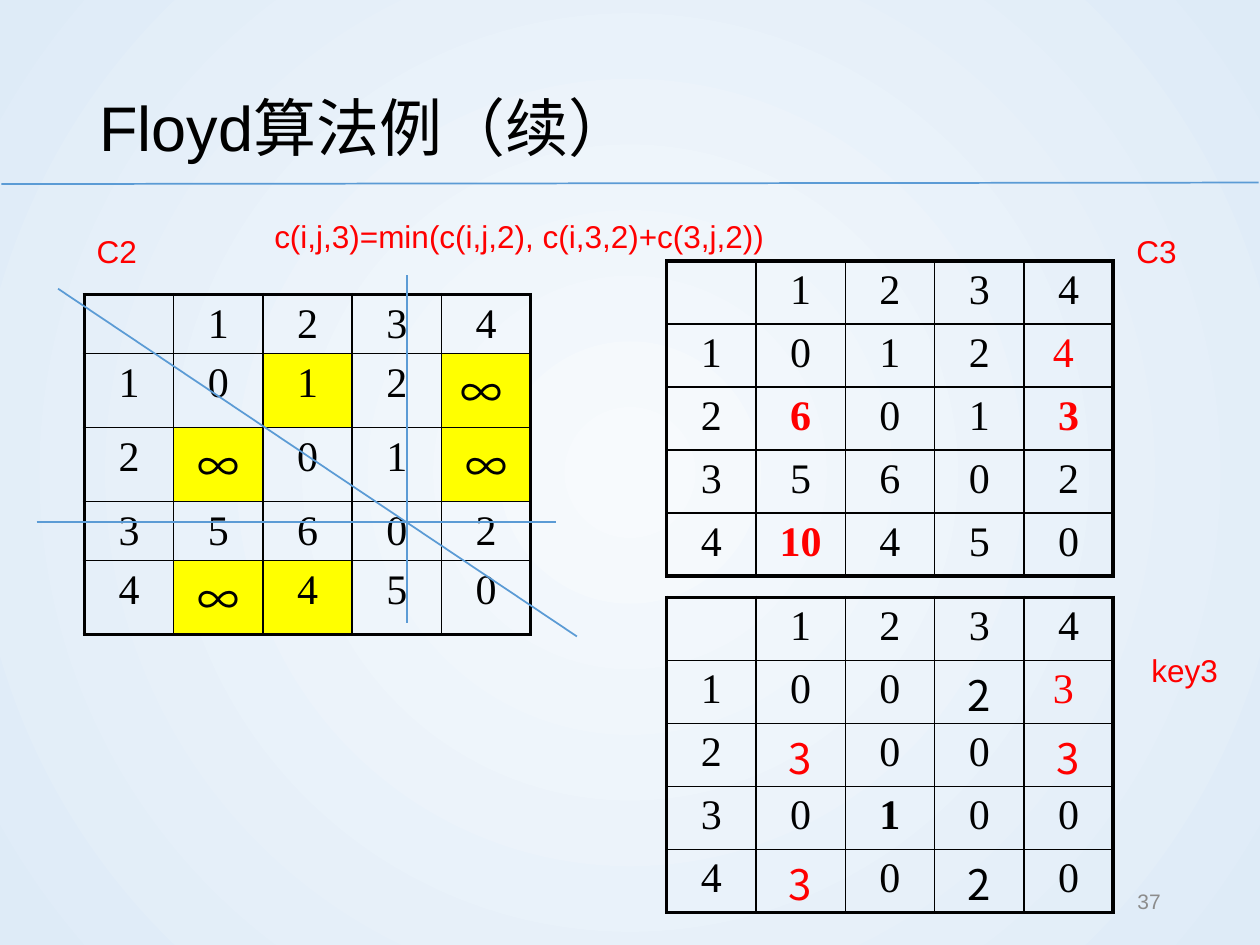
from dataclasses import dataclass

from lxml import etree
from pptx import Presentation
from pptx.dml.color import RGBColor
from pptx.enum.shapes import MSO_CONNECTOR
from pptx.enum.text import MSO_ANCHOR, PP_ALIGN
from pptx.oxml.ns import qn
from pptx.util import Cm, Pt

STRAIGHT = MSO_CONNECTOR.STRAIGHT
MIDDLE = MSO_ANCHOR.MIDDLE
LEFT, CENTER, RIGHT = PP_ALIGN.LEFT, PP_ALIGN.CENTER, PP_ALIGN.RIGHT


@dataclass(frozen=True)
class Theme:
    sans: str = "Arial"
    serif: str = "Times New Roman"
    cjk: str = "Noto Sans CJK SC"
    ink: str = "000000"
    red: str = "FF0000"
    yellow: str = "FFFF00"
    blue: str = "5B9BD5"
    gray: str = "8C8C8C"
    glow: str = "F7FAFD"
    edge: str = "DEEBF7"
    title: int = 36
    cell: int = 24
    label: int = 18
    number: int = 12
    thin: float = 1
    thick: float = 2.25


T = Theme()

TITLE = "Floyd算法例（续）"
TITLE_BOX = (1.75, 1.02, 21.9, 2.74)
COL_WIDTH = 1.8

# Cell sets hold (row, column) positions, headers included.
TABLES = [
    dict(at=(1.7, 5.94), heights=[1.19, 1.49, 1.49, 1.19, 1.49],
         rows=[["", "1", "2", "3", "4"],
               ["1", "0", "1", "2", "∞ "],
               ["2", "∞", "0", "1", "∞"],
               ["3", "5", "6", "0", "2"],
               ["4", "∞", "4", "5", "0"]],
         yellow={(1, 2), (1, 4), (2, 1), (2, 4), (4, 1), (4, 2)},
         cjk={(1, 4), (2, 1), (2, 4), (4, 1)}),
    dict(at=(13.44, 5.26), heights=[1.27] * 5,
         rows=[["", "1", "2", "3", "4"],
               ["1", "0", "1", "2", "4 "],
               ["2", "6", "0", "1", "3"],
               ["3", "5", "6", "0", "2"],
               ["4", "10", "4", "5", "0"]],
         red={(1, 4), (2, 1), (2, 4), (4, 1)},
         bold={(2, 1), (2, 4), (4, 1)}),
    dict(at=(13.44, 12.04), heights=[1.27] * 5, tight=True,
         rows=[["", "1", "2", "3", "4"],
               ["1", "0", "0", "2", "3 "],
               ["2", "3", "0", "0", "3"],
               ["3", "0", "1", "0", "0"],
               ["4", "3", "0", "2", "0"]],
         red={(1, 4), (2, 1), (2, 4), (4, 1)},
         bold={(3, 2)},
         cjk={(1, 3), (2, 1), (2, 4), (4, 1), (4, 3)}),
]

LABELS = [  # text, left, top, width
    ("C2", 1.7, 4.55, 1.9),
    ("c(i,j,3)=min(c(i,j,2), c(i,3,2)+c(3,j,2))", 5.28, 4.24, 19.25),
    ("C3", 22.66, 4.55, 1.9),
    ("key3", 22.96, 13.0, 1.9),
]
LABEL_HEIGHT = 1.02
PAGE_NUMBER = ("37", 17.93, 17.65, 5.72)

TITLE_RULE = (0.03, 3.71, 25.37, 3.68)
STRIKES = [  # diagonal, row 3, column 3
    (1.17, 5.82, 11.63, 12.83),
    (0.74, 10.52, 11.2, 10.52),
    (8.2, 12.55, 8.2, 5.54),
]


def rgb(color):
    return RGBColor.from_string(color)


def style(p, font, size, color, align=LEFT, bold=False):
    p.alignment = align
    for r in p.runs:
        f = r.font
        f.name, f.size, f.bold = font, Pt(size), bold
        f.color.rgb = rgb(color)
        etree.SubElement(f._element, qn("a:ea"), typeface=T.cjk)


def paint_background(slide):
    """Radial gradient, light in the middle."""
    fill = slide.background.fill
    fill.gradient()
    for stop, color in zip(fill.gradient_stops, (T.glow, T.edge)):
        stop.color.rgb = rgb(color)
    grad = next(slide.element.iter(qn("a:gradFill")))
    lin = grad.find(qn("a:lin"))
    radial = etree.Element(qn("a:path"), path="circle")
    etree.SubElement(radial, qn("a:fillToRect"),
                     dict.fromkeys("ltrb", "50000"))
    grad.replace(lin, radial)


def add_line(slide, ends):
    line = slide.shapes.add_connector(STRAIGHT, *map(Cm, ends))
    line.line.color.rgb = rgb(T.blue)
    line.line.width = Pt(T.thin)
    etree.SubElement(line.element.spPr, qn("a:effectLst"))


def add_text(slide, text, left, top, width, size, color, align=LEFT):
    sp = slide.shapes.add_textbox(Cm(left), Cm(top), Cm(width), Cm(LABEL_HEIGHT))
    tf = sp.text_frame
    tf.word_wrap = True
    tf.vertical_anchor = MIDDLE
    tf.text = text
    style(tf.paragraphs[0], T.sans, size, color, align)


def set_borders(cell, outer):
    """Draw the four sides; outer says which lie on the table's edge."""
    tc_pr = cell._tc.get_or_add_tcPr()
    for side in "LRTB":
        width = T.thick if side in outer else T.thin
        ln = etree.SubElement(tc_pr, qn("a:ln" + side), w=str(Pt(width)))
        solid = etree.SubElement(ln, qn("a:solidFill"))
        etree.SubElement(solid, qn("a:srgbClr"), val=T.ink)


def add_matrix(slide, at, heights, rows, yellow=(), red=(), bold=(), cjk=(),
               tight=False):
    """Add a matrix; tight keeps tall CJK digits inside the row height."""
    n = len(rows)
    frame = slide.shapes.add_table(n, n, *map(Cm, at), Cm(COL_WIDTH * n),
                                   Cm(sum(heights)))
    table = frame.table
    table.first_row = table.horz_banding = False
    for i in range(n):
        table.columns[i].width = Cm(COL_WIDTH)
        table.rows[i].height = Cm(heights[i])
        for j in range(n):
            pos = (i, j)
            cell = table.cell(i, j)
            on_edge = {"L": j == 0, "R": j == n - 1, "T": i == 0, "B": i == n - 1}
            set_borders(cell, {side for side, edge in on_edge.items() if edge})
            if pos in yellow:
                cell.fill.solid()
                cell.fill.fore_color.rgb = rgb(T.yellow)
            else:
                cell.fill.background()
            cell.text = rows[i][j]
            p = cell.text_frame.paragraphs[0]
            style(p, T.cjk if pos in cjk else T.serif, T.cell,
                  T.red if pos in red else T.ink, CENTER, pos in bold)
            if tight and pos in cjk:
                cell.margin_bottom = 0
                p.line_spacing = 0.92


def main():
    prs = Presentation()
    prs.slide_width, prs.slide_height = Cm(25.4), Cm(19.05)
    slide = prs.slides.add_slide(prs.slide_layouts[5])
    paint_background(slide)
    add_line(slide, TITLE_RULE)

    title = slide.shapes.title
    title.left, title.top, title.width, title.height = map(Cm, TITLE_BOX)
    tf = title.text_frame
    tf.text = TITLE
    tf.vertical_anchor = MIDDLE
    p = tf.paragraphs[0]
    p.line_spacing = 1.2
    style(p, T.sans, T.title, T.ink)

    for matrix in TABLES:
        add_matrix(slide, **matrix)
    for label in LABELS:
        add_text(slide, *label, T.label, T.red)
    for ends in STRIKES:
        add_line(slide, ends)
    add_text(slide, *PAGE_NUMBER, T.number, T.gray, RIGHT)
    prs.save("out.pptx")


if __name__ == "__main__":
    main()
